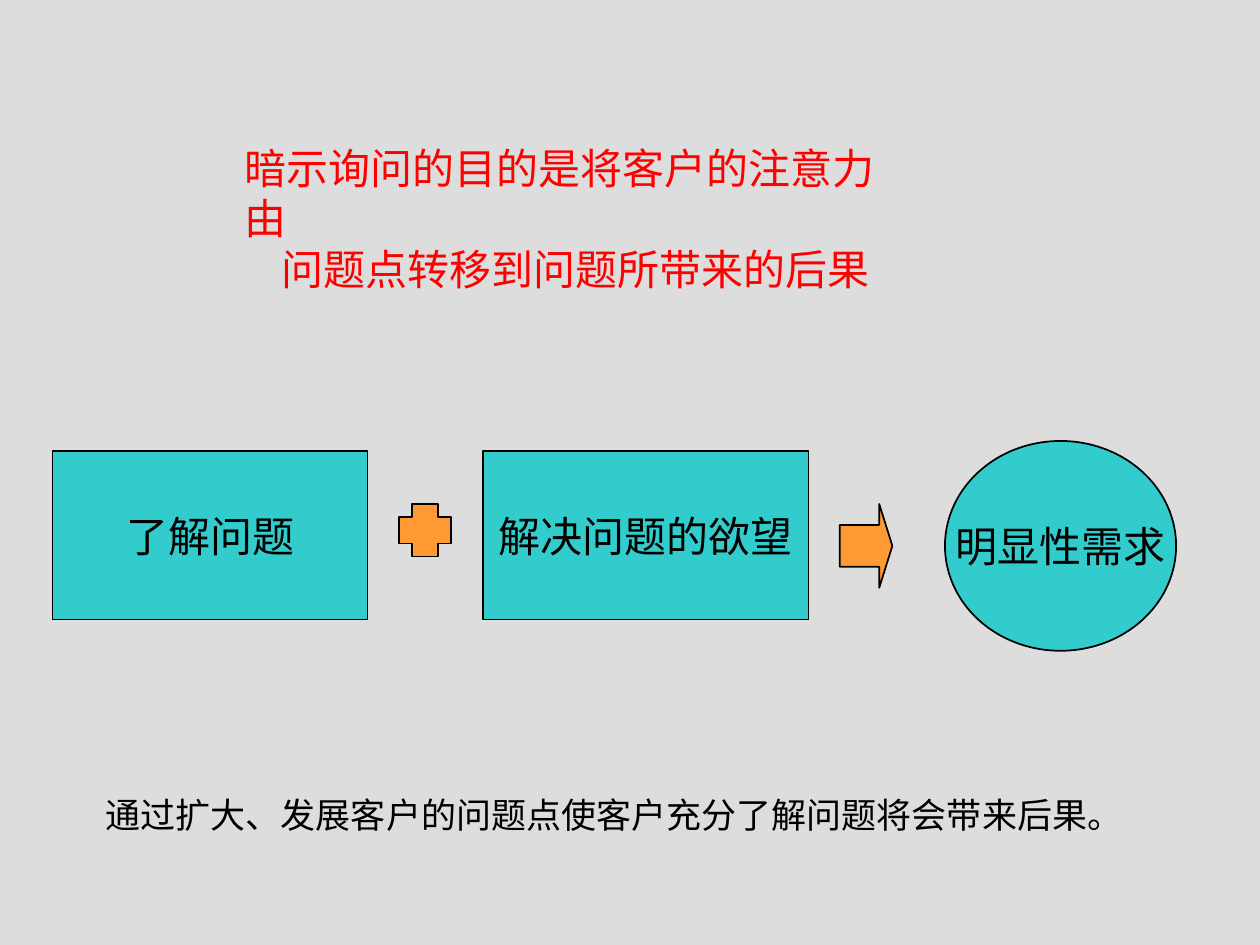
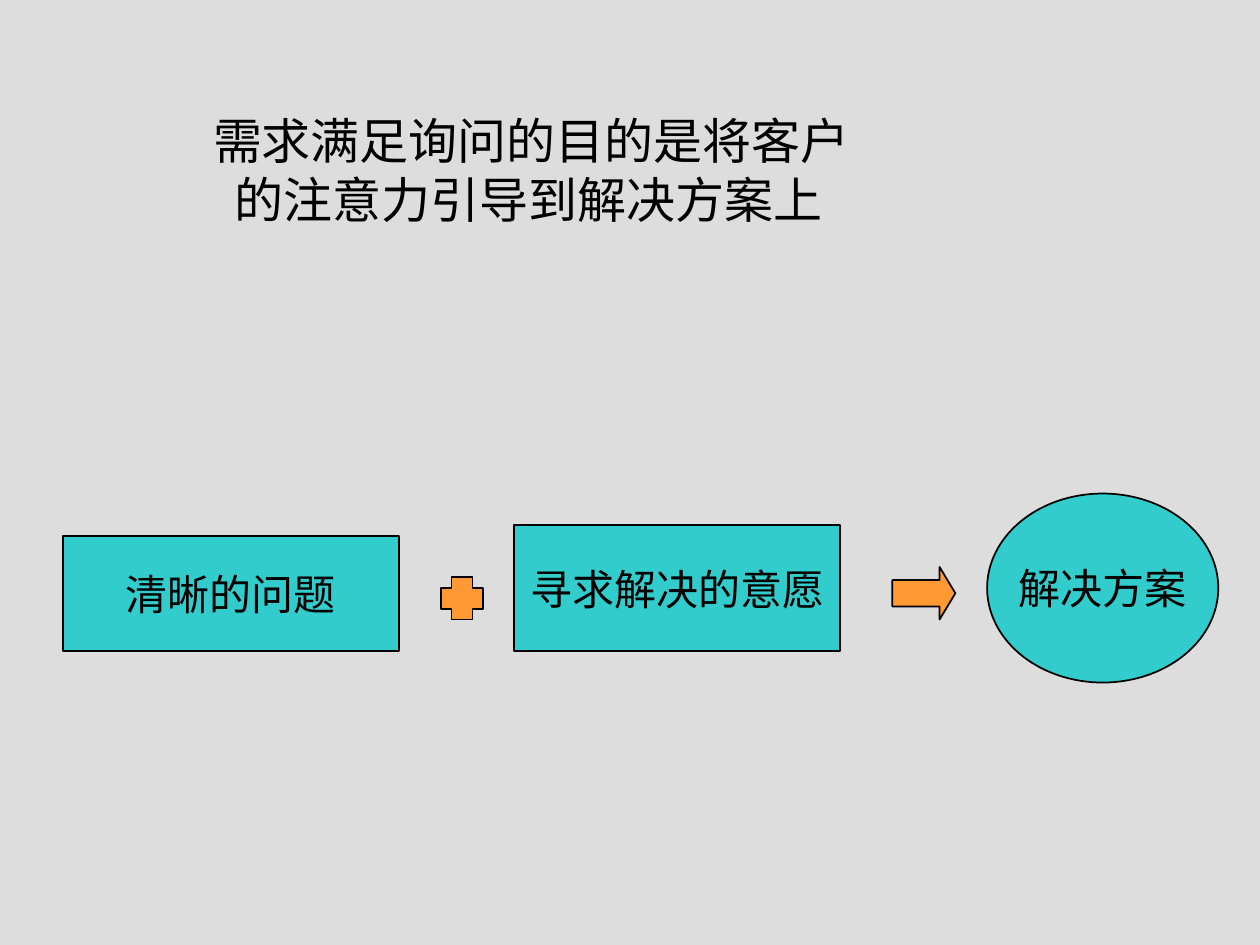
from collections import namedtuple

from pptx import Presentation
from pptx import util as u
from pptx.dml.color import RGBColor
from pptx.enum import shapes, text

Box = namedtuple("Box", "left top width height")

FONT = "Times New Roman"
GREY, TEAL, ORANGE = "DDDDDD", "33CCCC", "FF9933"
RED, BLACK = "FF0000", "000000"
KINDS = shapes.MSO_SHAPE
TITLE_ONLY = 5


def colour(value):
    """Turn a hex string into a colour."""
    return RGBColor.from_string(value)


def lengths(box):
    """Return the four measures of a box as lengths."""
    return [u.Cm(value) for value in box]


def write(frame, lines, size, ink=BLACK, align=text.PP_ALIGN.LEFT):
    """Fill a text frame with lines in the deck's font."""
    frame.word_wrap = False
    frame.text = "\n".join(lines)
    for para in frame.paragraphs:
        para.alignment = align
        for span in para.runs:
            span.font.name = FONT
            span.font.size = u.Pt(size)
            span.font.color.rgb = colour(ink)


def add_heading(page, box, lines, size, ink, indent):
    """Place the title, with its second line indented."""
    title = page.shapes.title
    title.left, title.top, title.width, title.height = lengths(box)
    frame = title.text_frame
    frame.vertical_anchor = text.MSO_ANCHOR.TOP
    frame.auto_size = text.MSO_AUTO_SIZE.NONE
    write(frame, lines, size, ink)
    properties = frame.paragraphs[1]._p.get_or_add_pPr()
    properties.set("marL", str(u.Cm(indent)))
    properties.set("indent", "0")


def add_part(page, box, kind, fill, label="", adjustments=()):
    """Draw one outlined shape with an optional centred label."""
    part = page.shapes.add_shape(kind, *lengths(box))
    part.shadow.inherit = False
    part.fill.solid()
    part.fill.fore_color.rgb = colour(fill)
    part.line.color.rgb = colour(BLACK)
    part.line.width = u.Pt(1)
    for index, value in enumerate(adjustments):
        part.adjustments[index] = value
    if label:
        part.text_frame.vertical_anchor = text.MSO_ANCHOR.MIDDLE
        write(part.text_frame, [label], 24, align=text.PP_ALIGN.CENTER)


def add_equation(page, origin, labels, places, arrow_head):
    """Draw cause plus wish leading to result, relative to an origin."""
    cause, wish, result = labels
    parts = (
        (KINDS.RECTANGLE, TEAL, cause),
        (KINDS.CROSS, ORANGE, "", (0.25,)),
        (KINDS.RECTANGLE, TEAL, wish),
        (KINDS.RIGHT_ARROW, ORANGE, "", (0.5, arrow_head)),
        (KINDS.OVAL, TEAL, result),
    )
    left, top = origin
    for place, part in zip(places, parts):
        x, y, width, height = place
        add_part(page, Box(left + x, top + y, width, height), *part)


def add_remark(page, box, remark):
    """Write the closing sentence below the equation."""
    note = page.shapes.add_textbox(*lengths(box))
    write(note.text_frame, [remark], 20)


def new_page(deck):
    """Add a title-only slide."""
    return deck.slides.add_slide(deck.slide_layouts[TITLE_ONLY])


def build_implication(deck):
    """Build the slide on implication questions."""
    page = new_page(deck)
    add_heading(
        page, Box(4.67, 2.74, 14.05, 2.29),
        ["暗示询问的目的是将客户的注意力由", "问题点转移到问题所带来的后果"],
        24, RED, 0.76)
    add_equation(
        page, (1.06, 8.89), ("了解问题", "解决问题的欲望", "明显性需求"),
        (Box(0, 0.21, 6.35, 3.39),
         Box(6.98, 1.27, 1.06, 1.06),
         Box(8.68, 0.21, 6.56, 3.39),
         Box(15.87, 1.27, 1.06, 1.69),
         Box(17.99, 0, 4.66, 4.23)),
        0.25)
    add_remark(page, Box(1.88, 15.88, 21.01, 1.12),
               "通过扩大、发展客户的问题点使客户充分了解问题将会带来后果。")


def build_need_payoff(deck):
    """Build the slide on need-payoff questions."""
    page = new_page(deck)
    add_heading(
        page, Box(4.04, 2.11, 13.34, 2.64),
        ["需求满足询问的目的是将客户", "的注意力引导到解决方案上"],
        28, BLACK, 0.44)
    add_equation(
        page, (1.27, 9.95), ("清晰的问题", "寻求解决的意愿", "解决方案"),
        (Box(0, 0.85, 6.77, 2.33),
         Box(7.62, 1.69, 0.85, 0.85),
         Box(9.1, 0.64, 6.56, 2.54),
         Box(16.72, 1.48, 1.27, 1.06),
         Box(18.63, 0, 4.66, 3.81)),
        0.3)


def main():
    """Build the deck and save it."""
    deck = Presentation()
    deck.slide_width, deck.slide_height = u.Cm(25.4), u.Cm(19.05)
    backdrop = deck.slide_master.background.fill
    backdrop.solid()
    backdrop.fore_color.rgb = colour(GREY)
    build_implication(deck)
    build_need_payoff(deck)
    deck.save("out.pptx")


if __name__ == "__main__":
    main()
